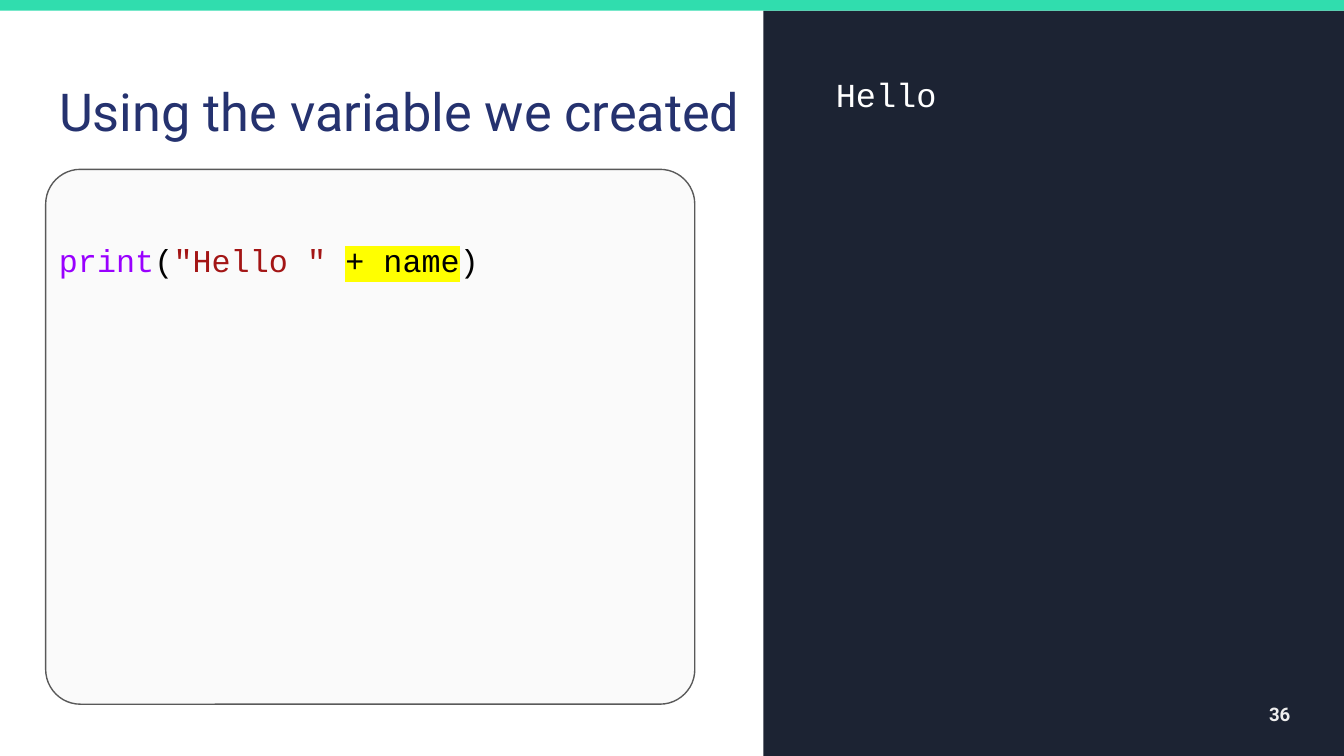
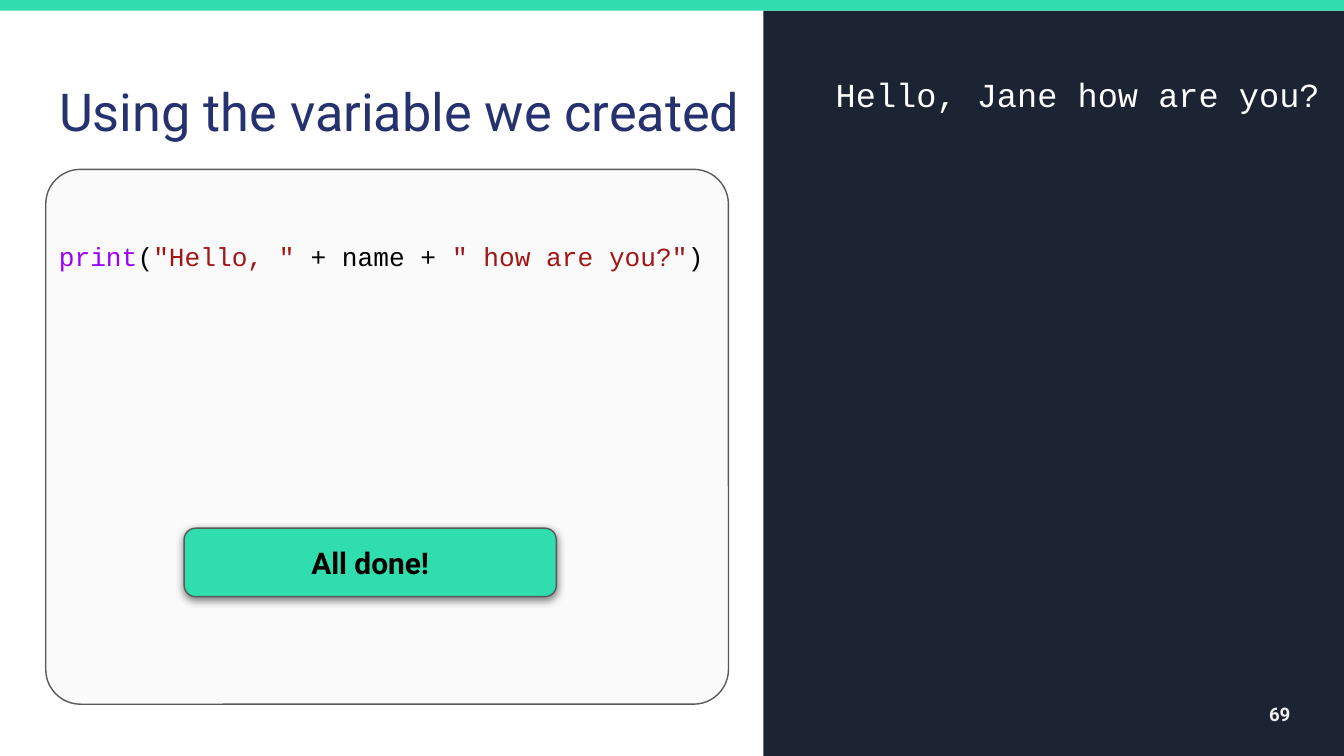
"""Build two slides that show Python code beside its output."""
from dataclasses import dataclass

from lxml import etree
from pptx import Presentation
from pptx import util as u
from pptx.dml.color import RGBColor
from pptx.enum import shapes, text
from pptx.oxml.ns import qn


@dataclass(frozen=True)
class Theme:
    """Colours, fonts and type sizes of the deck."""
    navy: str = "25326F"
    dark: str = "1C2333"
    mint: str = "30DDAE"
    paper: str = "FAFAFA"
    outline: str = "595959"
    white: str = "FFFFFF"
    black: str = "000000"
    number: str = "EEEEEE"
    keyword: str = "9900FF"
    string: str = "A31515"
    marker: str = "FFFF00"
    sans: str = "Roboto"
    mono: str = "Courier New"
    title_size: int = 28
    output_size: int = 18
    button_size: int = 16
    number_size: int = 10


THEME = Theme()
LEFT = 0.34
PANEL_TOP, PANEL_HEIGHT = 1.26, 3.98
PANEL_RADIUS = 0.065
CODE_INSET = 0.53
HEADING = "Using the variable we created"


def inches(*values):
    """Turn numbers into lengths."""
    return [u.Inches(value) for value in values]


def style_span(span, size, color, font, bold=False):
    """Set the type of one run."""
    span.font.size = u.Pt(size)
    span.font.name = font
    span.font.bold = bold
    span.font.color.rgb = RGBColor.from_string(color)


def highlight(span, color):
    """Mark one run with a background colour."""
    mark = etree.Element(qn("a:highlight"))
    etree.SubElement(mark, qn("a:srgbClr"), val=color)
    span.font._element.find(qn("a:solidFill")).addnext(mark)


def prepare_frame(box, anchor=text.MSO_ANCHOR.TOP, top_inset=0.1):
    """Set wrapping, anchor and insets, and return the text frame."""
    frame = box.text_frame
    frame.word_wrap = True
    frame.auto_size = text.MSO_AUTO_SIZE.NONE
    frame.vertical_anchor = anchor
    frame.margin_left = frame.margin_right = frame.margin_bottom = u.Inches(0.1)
    frame.margin_top = u.Inches(top_inset)
    return frame


def write_line(box, words, size, color, font, bold=False,
               align=text.PP_ALIGN.LEFT, anchor=text.MSO_ANCHOR.TOP):
    """Fill a box with one line in one style."""
    frame = prepare_frame(box, anchor)
    frame.text = words
    para = frame.paragraphs[0]
    para.alignment = align
    style_span(para.runs[0], size, color, font, bold)


def add_block(page, place, fill, radius=None, outlined=False):
    """Add a plain or rounded rectangle."""
    kind = shapes.MSO_SHAPE.RECTANGLE if radius is None else shapes.MSO_SHAPE.ROUNDED_RECTANGLE
    block = page.shapes.add_shape(kind, *inches(*place))
    block.shadow.inherit = False
    block.fill.solid()
    block.fill.fore_color.rgb = RGBColor.from_string(fill)
    if radius is not None:
        block.adjustments[0] = radius
    if outlined:
        block.line.color.rgb = RGBColor.from_string(THEME.outline)
        block.line.width = u.Pt(0.75)
    else:
        block.line.fill.background()
    return block


def add_page(deck, number):
    """Add a slide with the shared bands, title and page number."""
    page = deck.slides.add_slide(deck.slide_layouts[5])
    add_block(page, (5.68, 0.08, 4.33, 5.56), THEME.dark)
    add_block(page, (-0.01, 0, 10.02, 0.08), THEME.mint)
    title = page.shapes.title
    title.left, title.top, title.width, title.height = inches(LEFT, 0.49, 5.34, 0.63)
    write_line(title, HEADING, THEME.title_size, THEME.navy, THEME.sans)
    box = page.shapes.add_textbox(*inches(9.1, 5.1, 0.6, 0.43))
    write_line(box, str(number), THEME.number_size, THEME.number, THEME.sans, True,
               text.PP_ALIGN.RIGHT, text.MSO_ANCHOR.MIDDLE)
    return page


def add_code(page, panel_width, text_width, size, spans):
    """Add the code panel with (words, colour, marker) runs on it."""
    add_block(page, (LEFT, PANEL_TOP, panel_width, PANEL_HEIGHT),
              THEME.paper, PANEL_RADIUS, outlined=True)
    box = page.shapes.add_textbox(*inches(LEFT, PANEL_TOP, text_width, PANEL_HEIGHT))
    para = prepare_frame(box, top_inset=CODE_INSET).paragraphs[0]
    for words, color, marker in spans:
        span = para.add_run()
        span.text = words
        style_span(span, size, color, THEME.mono)
        if marker:
            highlight(span, marker)


def add_output(page, words, width):
    """Add the program output on the dark side."""
    box = page.shapes.add_textbox(*inches(6.12, 0.45, width, PANEL_HEIGHT))
    write_line(box, words, THEME.output_size, THEME.white, THEME.mono)


def add_button(page, words):
    """Add the mint button with a soft shadow."""
    button = add_block(page, (1.37, 3.93, 2.77, 0.51), THEME.mint, 0.167, outlined=True)
    effects = button._element.spPr.find(qn("a:effectLst"))
    shadow = etree.SubElement(effects, qn("a:outerShdw"), blurRad=str(u.Pt(4.5)),
                              dist=str(u.Pt(1.5)), dir="5400000",
                              algn="bl", rotWithShape="0")
    color = etree.SubElement(shadow, qn("a:srgbClr"), val=THEME.black)
    etree.SubElement(color, qn("a:alpha"), val="50000")
    write_line(button, words, THEME.button_size, THEME.black, THEME.sans, True,
               text.PP_ALIGN.CENTER, text.MSO_ANCHOR.MIDDLE)


def main():
    """Build and save the deck."""
    deck = Presentation()
    deck.slide_width, deck.slide_height = inches(10, 5.625)
    opening = [("print", THEME.keyword, None), ("(", THEME.black, None)]
    closing = [(")", THEME.black, None)]

    page = add_page(deck, 36)
    add_code(page, 4.83, 4.99, 17, opening + [
        ('"Hello " ', THEME.string, None),
        ("+ name", THEME.black, THEME.marker),
    ] + closing)
    add_output(page, "Hello", 3.58)

    page = add_page(deck, 69)
    add_code(page, 5.08, 5.08, 14, opening + [
        ('"Hello, " ', THEME.string, None),
        ("+ name + ", THEME.black, None),
        ('" how are you?"', THEME.string, None),
    ] + closing)
    add_output(page, "Hello, Jane how are you?", 3.9)
    add_button(page, "All done!")

    deck.save("out.pptx")


if __name__ == "__main__":
    main()
